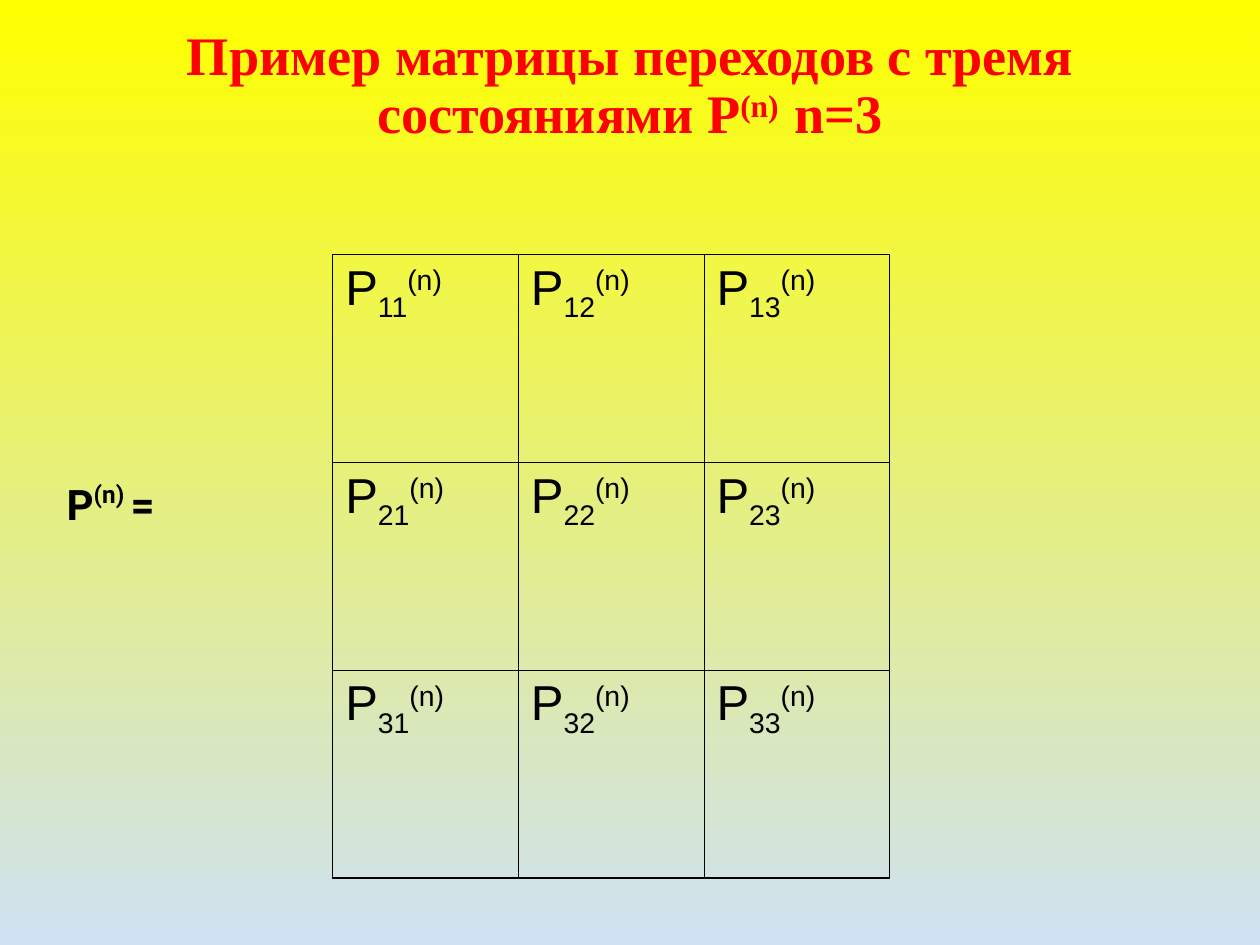
from dataclasses import dataclass

from lxml.etree import SubElement
from pptx import Presentation
from pptx.dml.color import RGBColor
from pptx.enum.text import MSO_ANCHOR, MSO_AUTO_SIZE, PP_ALIGN
from pptx.oxml.ns import qn
from pptx.util import Inches, Pt

COLUMNS, ROWS = 20, 15
SUBSCRIPT = -25
SUPERSCRIPT = 30
HIGH_SUPERSCRIPT = 40


@dataclass(frozen=True)
class TextStyle:
    font: str
    size: int
    color: str
    bold: bool = False
    space_before: int = 0


@dataclass(frozen=True)
class Theme:
    background_top: str = "FFFF00"
    background_bottom: str = "CEE1F2"
    border: str = "000000"
    outer_border: float = 1.08
    inner_border: float = 0.45
    title: TextStyle = TextStyle("Times New Roman", 31, "FF0000", bold=True)
    cell: TextStyle = TextStyle("Arial", 28, "000000", space_before=7)
    label: TextStyle = TextStyle("Roboto", 24, "000000", bold=True, space_before=15)


class SlideBuilder:
    def __init__(self, presentation, theme):
        self.theme = theme
        self.column = presentation.slide_width / COLUMNS
        self.row = presentation.slide_height / ROWS
        self.slide = presentation.slides.add_slide(presentation.slide_layouts[5])

    def place(self, left, top, width, height):
        """Turn grid columns and rows into slide lengths."""
        return (round(left * self.column), round(top * self.row),
                round(width * self.column), round(height * self.row))

    def background(self):
        fill = self.slide.background.fill
        fill.gradient()
        fill.gradient_angle = 270
        colors = (self.theme.background_top, self.theme.background_bottom)
        for stop, color in zip(fill.gradient_stops, colors):
            stop.color.rgb = RGBColor.from_string(color)

    def add_parts(self, paragraph, parts, style):
        """Fill a paragraph with (text, baseline shift in percent) parts."""
        paragraph.space_before = Pt(style.space_before)
        for text, baseline in parts:
            run = paragraph.add_run()
            run.text = text
            run.font.name = style.font
            run.font.size = Pt(style.size)
            run.font.bold = style.bold
            run.font.color.rgb = RGBColor.from_string(style.color)
            if baseline:
                run._r.get_or_add_rPr().set("baseline", str(baseline * 1000))

    def title(self, parts, area):
        shape = self.slide.shapes.title
        shape.left, shape.top, shape.width, shape.height = self.place(*area)
        frame = shape.text_frame
        frame.word_wrap = True
        frame.auto_size = MSO_AUTO_SIZE.NONE
        frame.vertical_anchor = MSO_ANCHOR.MIDDLE
        frame.margin_top = 0
        frame.margin_bottom = Inches(0.47)
        paragraph = frame.paragraphs[0]
        paragraph.alignment = PP_ALIGN.CENTER
        paragraph.line_spacing = 0.9
        self.add_parts(paragraph, parts, self.theme.title)

    def label(self, parts, area):
        shape = self.slide.shapes.add_textbox(*self.place(*area))
        frame = shape.text_frame
        frame.word_wrap = True
        frame.auto_size = MSO_AUTO_SIZE.SHAPE_TO_FIT_TEXT
        self.add_parts(frame.paragraphs[0], parts, self.theme.label)

    def border(self, cell, outer_sides):
        """Draw all four borders, heavier on the outer sides."""
        properties = cell._tc.get_or_add_tcPr()
        for position, side in enumerate("LRTB"):
            width = self.theme.outer_border if side in outer_sides else self.theme.inner_border
            line = SubElement(properties, qn(f"a:ln{side}"), w=str(int(Pt(width))))
            fill = SubElement(line, qn("a:solidFill"))
            SubElement(fill, qn("a:srgbClr"), val=self.theme.border)
            properties.insert(position, line)

    def matrix(self, size, area):
        table = self.slide.shapes.add_table(size, size, *self.place(*area)).table
        table.first_row = table.horz_banding = False
        last = size - 1
        for i in range(size):
            for j in range(size):
                cell = table.cell(i, j)
                cell.fill.background()
                edges = {"L": j == 0, "R": j == last, "T": i == 0, "B": i == last}
                self.border(cell, [side for side, outer in edges.items() if outer])
                parts = [("Р", 0), (f"{i + 1}{j + 1}", SUBSCRIPT), ("(n)", SUPERSCRIPT)]
                self.add_parts(cell.text_frame.paragraphs[0], parts, self.theme.cell)


def main():
    presentation = Presentation()
    presentation.slide_width, presentation.slide_height = Inches(10), Inches(7.5)
    builder = SlideBuilder(presentation, Theme())
    builder.background()
    builder.title(
        [("Пример матрицы переходов с тремя состояниями Р", 0),
         ("(n)  ", SUPERSCRIPT), ("n=3", 0)],
        (1, 0.6, 18, 2.5))
    builder.matrix(3, (5.28, 4.04, 8.84, 9.9))
    builder.label([("Р", 0), ("(n) ", HIGH_SUPERSCRIPT), ("=", 0)], (0.86, 7.5, 3.3, 1))
    presentation.save("out.pptx")


if __name__ == "__main__":
    main()
